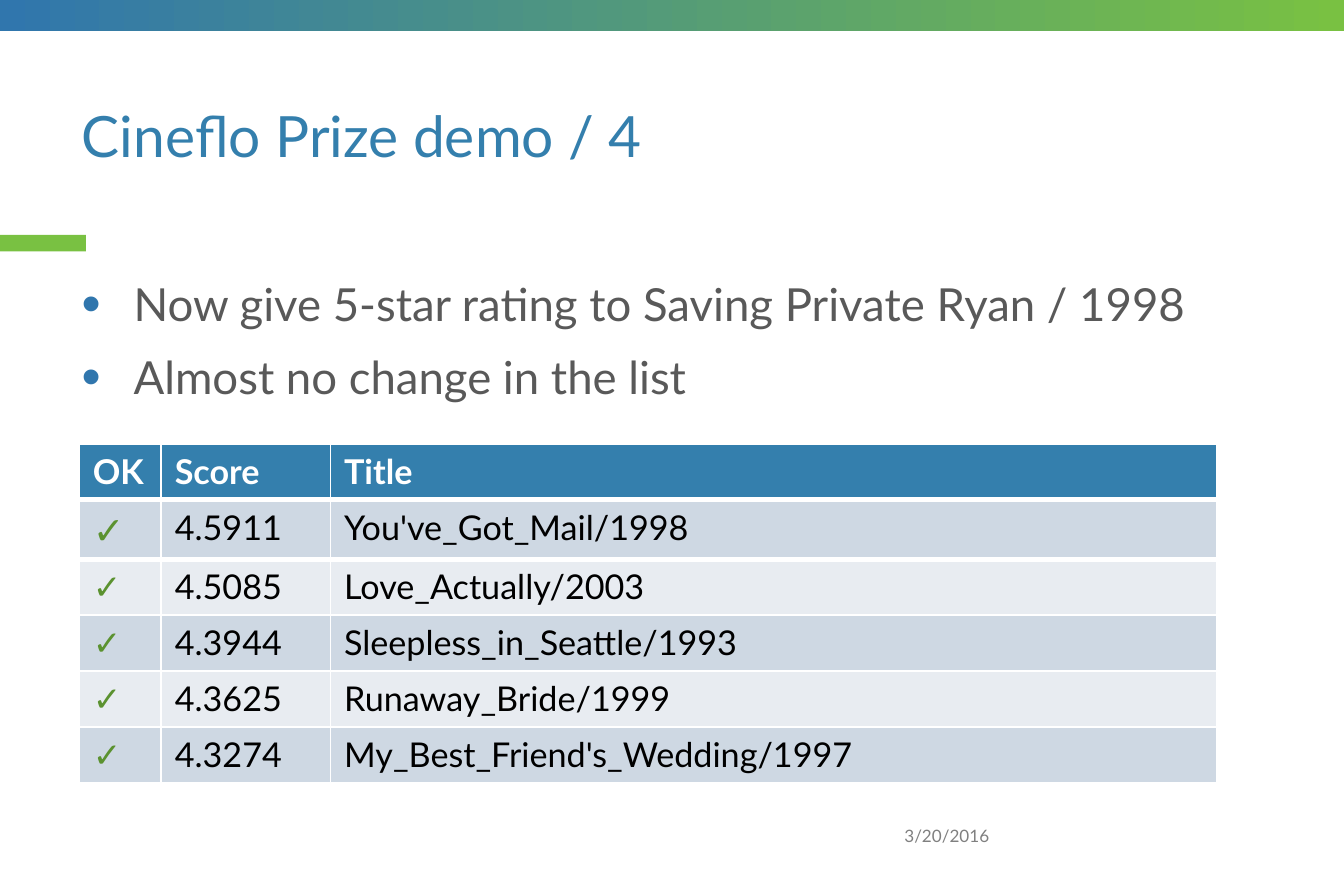
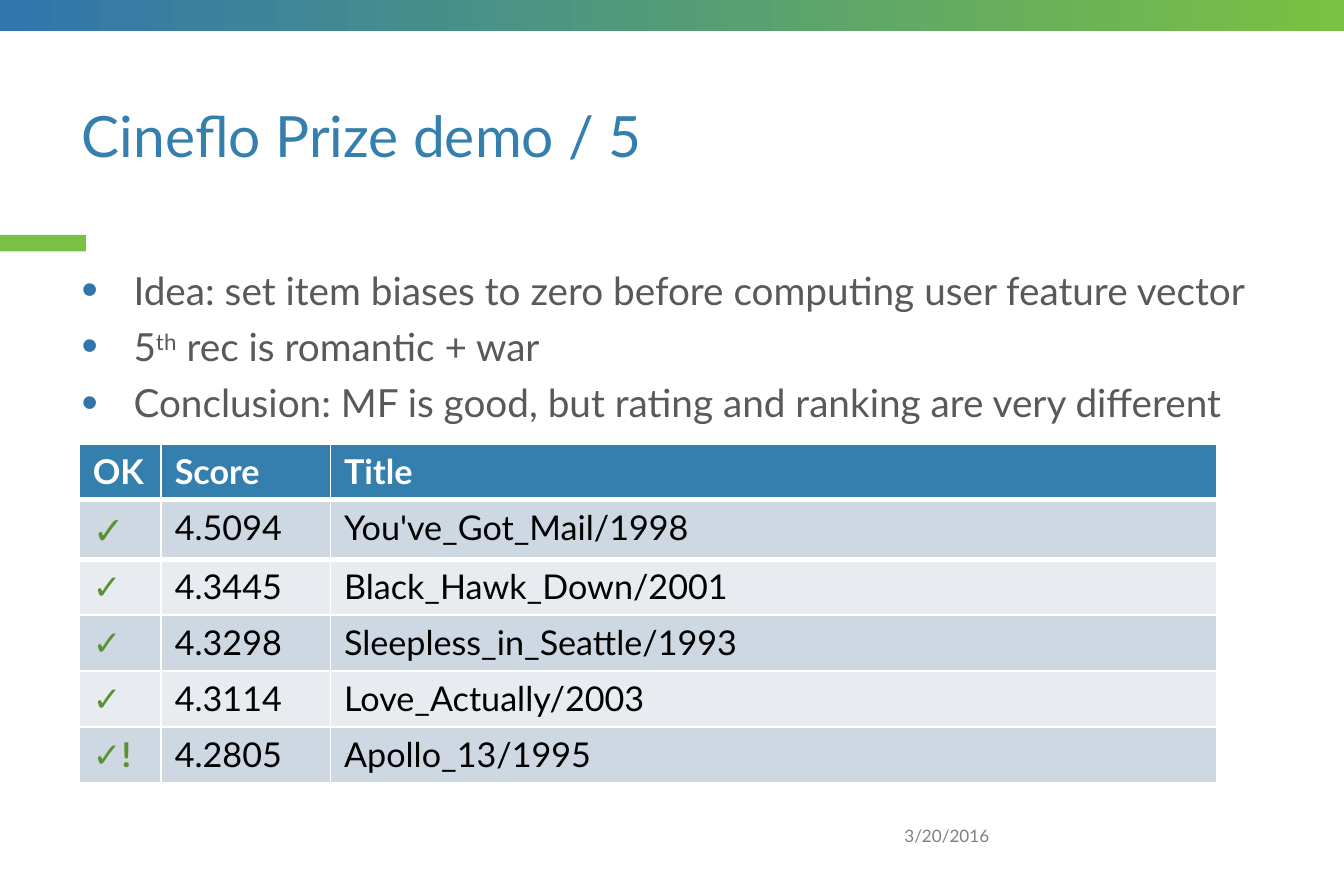
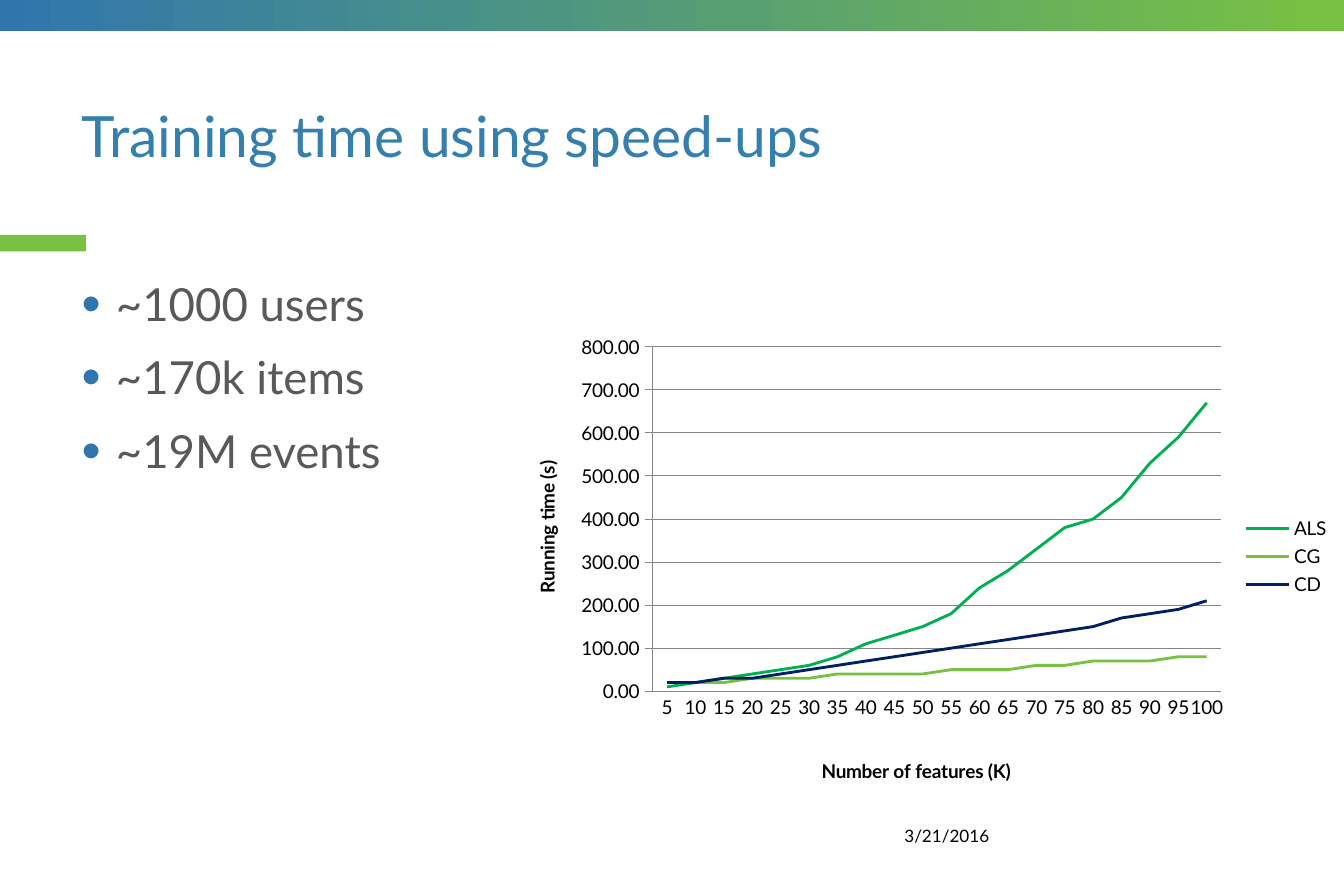
"""Build three slides on rating predictions and training time."""
from dataclasses import dataclass

from lxml.etree import SubElement
from pptx import Presentation
from pptx.chart.data import CategoryChartData
from pptx.dml.color import RGBColor
from pptx.enum.chart import XL_CHART_TYPE, XL_LEGEND_POSITION, XL_TICK_MARK
from pptx.enum.shapes import MSO_SHAPE
from pptx.enum.text import MSO_ANCHOR, MSO_AUTO_SIZE, PP_ALIGN
from pptx.oxml import parse_xml
from pptx.oxml.ns import nsdecls, qn
from pptx.util import Inches, Pt


@dataclass(frozen=True)
class Theme:
    font: str = "Lato"
    blue: str = "3076AD"
    green: str = "79C142"
    title: str = "347FAD"
    body: str = "595959"
    gray: str = "808080"
    black: str = "000000"
    white: str = "FFFFFF"
    check: str = "5B9230"
    bands: tuple = ("E8ECF1", "CED8E3")
    series: tuple = ("00B050", "79C142", "002060")
    grid: str = "868686"
    title_size: float = 30
    body_size: float = 24
    small_body_size: float = 20.4
    table_size: float = 18
    first_check_size: float = 20
    chart_size: float = 10
    date_size: float = 9


theme = Theme()


def color(value):
    return RGBColor.from_string(value)


def add_text(paragraph, text, *, size, fill, bold=False, baseline=0):
    run = paragraph.add_run()
    run.text = text
    run.font.name = theme.font
    run.font.size = Pt(size)
    run.font.bold = bold
    run.font.color.rgb = color(fill)
    if baseline:
        run._r.get_or_add_rPr().set("baseline", str(baseline * 1000))


contents = [
    {
        "title": "Cineflo Prize demo / 4",
        "date": "3/20/2016",
        "date_color": theme.gray,
        "bullets": [
            ["Now give 5-star rating to Saving Private Ryan / 1998"],
            ["Almost no change in the list"],
        ],
        "body_size": theme.body_size,
        "line_spacing": 1.0,
        "indent": 0.38,
        "body_extent": (8.84, 1.28),
        "rows": [
            ("✓", "4.5911", "You've_Got_Mail/1998"),
            ("✓", "4.5085", "Love_Actually/2003"),
            ("✓", "4.3944", "Sleepless_in_Seattle/1993"),
            ("✓", "4.3625", "Runaway_Bride/1999"),
            ("✓", "4.3274", "My_Best_Friend's_Wedding/1997"),
        ],
    },
    {
        "title": "Cineflo Prize demo / 5",
        "date": "3/20/2016",
        "date_color": theme.gray,
        "bullets": [
            ["Idea: set item biases to zero before computing user feature vector"],
            ["5", "th", " rec is romantic + war"],
            ["Conclusion: MF is good, but rating and ranking are very different"],
        ],
        "body_size": theme.small_body_size,
        "line_spacing": 0.8,
        "indent": 0.38,
        "body_extent": (8.84, 1.28),
        "rows": [
            ("✓", "4.5094", "You've_Got_Mail/1998"),
            ("✓", "4.3445", "Black_Hawk_Down/2001"),
            ("✓", "4.3298", "Sleepless_in_Seattle/1993"),
            ("✓", "4.3114", "Love_Actually/2003"),
            ("✓!", "4.2805", "Apollo_13/1995"),
        ],
    },
    {
        "title": "Training time using speed-ups",
        "date": "3/21/2016",
        "date_color": theme.black,
        "bullets": [["~1000 users"], ["~170k items"], ["~19M events"]],
        "body_size": theme.body_size,
        "line_spacing": 1.0,
        "indent": 0.25,
        "body_extent": (3.22, 3.75),
        "rows": [],
    },
]
table_header = ("OK", "Score", "Title")
column_widths = (0.6, 1.24, 6.49)
row_height = 0.41
running_times = {
    "ALS": (10, 20, 30, 40, 50, 60, 80, 110, 130, 150,
            180, 240, 280, 330, 380, 400, 450, 530, 590, 670),
    "CG": (20, 20, 20, 30, 30, 30, 40, 40, 40, 40,
           50, 50, 50, 60, 60, 70, 70, 70, 80, 80),
    "CD": (20, 20, 30, 30, 40, 50, 60, 70, 80, 90,
           100, 110, 120, 130, 140, 150, 170, 180, 190, 210),
}

presentation = Presentation()
presentation.slide_width = Inches(9.84)
presentation.slide_height = Inches(6.56)
layout = presentation.slide_layouts[5]
slides = [presentation.slides.add_slide(layout) for content in contents]

accent_bar = slides[0].shapes.add_shape(
    MSO_SHAPE.RECTANGLE, 0, Inches(1.72), Inches(0.63), Inches(0.12))
accent_bar.fill.solid()
accent_bar.fill.fore_color.rgb = color(theme.green)
top_band = slides[0].shapes.add_shape(
    MSO_SHAPE.RECTANGLE, 0, 0, Inches(9.84), Inches(0.23))
top_band.fill.gradient()
top_band.fill.gradient_angle = 0
for stop, stop_color in zip(top_band.fill.gradient_stops, (theme.blue, theme.green)):
    stop.color.rgb = color(stop_color)
for shape in (accent_bar, top_band):
    shape.line.fill.background()
    shape.shadow.inherit = False
    layout.shapes.element.append(shape.element)

for slide, content in zip(slides, contents):
    title = slide.shapes.title
    title.left, title.top = Inches(0.5), Inches(0.49)
    title.width, title.height = Inches(8.84), Inches(1.06)
    title.text_frame.auto_size = MSO_AUTO_SIZE.NONE
    title.text_frame.vertical_anchor = MSO_ANCHOR.MIDDLE
    paragraph = title.text_frame.paragraphs[0]
    paragraph.alignment = PP_ALIGN.LEFT
    paragraph.line_spacing = 0.9
    add_text(paragraph, content["title"], size=theme.title_size, fill=theme.title)

    date_box = slide.shapes.add_textbox(
        Inches(6.46), Inches(5.94), Inches(0.88), Inches(0.35))
    date_box.text_frame.word_wrap = True
    date_box.text_frame.vertical_anchor = MSO_ANCHOR.MIDDLE
    paragraph = date_box.text_frame.paragraphs[0]
    paragraph.alignment = PP_ALIGN.RIGHT
    add_text(paragraph, content["date"], size=theme.date_size, fill=content["date_color"])

    width, height = content["body_extent"]
    body = slide.shapes.add_textbox(
        Inches(0.5), Inches(1.97), Inches(width), Inches(height))
    body.text_frame.word_wrap = True
    for index, parts in enumerate(content["bullets"]):
        paragraph = body.text_frame.add_paragraph() if index else body.text_frame.paragraphs[0]
        properties = paragraph._p.get_or_add_pPr()
        properties.set("marL", str(Inches(content["indent"])))
        properties.set("indent", str(-Inches(content["indent"])))
        bullet_color = SubElement(properties, qn("a:buClr"))
        SubElement(bullet_color, qn("a:srgbClr"), val=theme.blue)
        SubElement(properties, qn("a:buSzPct"), val="120000")
        SubElement(properties, qn("a:buFont"), typeface="Arial")
        SubElement(properties, qn("a:buChar"), char="•")
        paragraph.line_spacing = content["line_spacing"]
        paragraph.space_before = Pt(10 if index else 0)
        for part in parts:
            add_text(paragraph, part, size=content["body_size"], fill=theme.body,
                     baseline=30 if part == "th" else 0)

    if content["rows"]:
        rows = [table_header, *content["rows"]]
        table = slide.shapes.add_table(
            len(rows), len(column_widths), Inches(0.58), Inches(3.25),
            Inches(sum(column_widths)), Inches(row_height * len(rows))).table
        for column, column_width in zip(table.columns, column_widths):
            column.width = Inches(column_width)
        for row_index, values in enumerate(rows):
            table.rows[row_index].height = Inches(row_height)
            for column_index, value in enumerate(values):
                is_header = row_index == 0
                is_check = column_index == 0 and not is_header
                cell = table.cell(row_index, column_index)
                cell.fill.solid()
                cell.fill.fore_color.rgb = color(
                    theme.title if is_header else theme.bands[row_index % 2])
                if row_index < 2:
                    side = "lnB" if is_header else "lnT"
                    cell._tc.get_or_add_tcPr().insert(0, parse_xml(
                        f'<a:{side} {nsdecls("a")} w="{Pt(3)}"><a:solidFill>'
                        f'<a:srgbClr val="{theme.white}"/></a:solidFill></a:{side}>'))
                add_text(
                    cell.text_frame.paragraphs[0], value,
                    size=theme.first_check_size if is_check and row_index == 1
                    else theme.table_size,
                    fill=theme.white if is_header else theme.check if is_check
                    else theme.black,
                    bold=is_header or is_check)

chart_width, chart_height = 6.13, 3.38
chart_data = CategoryChartData(number_format="0.00")
chart_data.categories = [str(count) for count in range(5, 101, 5)]
for name, values in running_times.items():
    chart_data.add_series(name, values)
chart = slides[2].shapes.add_chart(
    XL_CHART_TYPE.LINE, Inches(3.71), Inches(2.39),
    Inches(chart_width), Inches(chart_height), chart_data).chart
chart.font.name = theme.font
chart.font.size = Pt(theme.chart_size)
chart.font.color.rgb = color(theme.black)
chart.has_title = False
chart.has_legend = True
chart.legend.position = XL_LEGEND_POSITION.RIGHT
chart.legend.include_in_layout = False
chart.plots[0].vary_by_categories = False
for series, series_color in zip(chart.plots[0].series, theme.series):
    series.smooth = False
    series.format.line.width = Pt(1.5)
    series.format.line.color.rgb = color(series_color)

for axis, axis_title, tick_mark in (
    (chart.category_axis, "Number of features (K)", XL_TICK_MARK.NONE),
    (chart.value_axis, "Running time (s)", XL_TICK_MARK.OUTSIDE),
):
    axis.major_tick_mark = tick_mark
    axis.minor_tick_mark = XL_TICK_MARK.NONE
    axis.format.line.color.rgb = color(theme.grid)
    axis.format.line.width = Pt(0.5)
    add_text(axis.axis_title.text_frame.paragraphs[0], axis_title,
             size=theme.chart_size, fill=theme.black, bold=True)
value_axis = chart.value_axis
value_axis.minimum_scale, value_axis.maximum_scale = 0, 800
value_axis.major_unit = 100
value_axis.tick_labels.number_format = "0.00"
value_axis.tick_labels.number_format_is_linked = False
value_axis.has_major_gridlines = True
value_axis.major_gridlines.format.line.color.rgb = color(theme.grid)
value_axis.major_gridlines.format.line.width = Pt(0.5)

plot_area = chart.element.find(".//" + qn("c:plotArea"))
category_title = chart.category_axis.axis_title.element if hasattr(
    chart.category_axis.axis_title, "element") else chart.category_axis.axis_title._element
for part, settings in (
    (plot_area, {"layoutTarget": "inner", "xMode": "edge", "yMode": "edge",
                 "x": 1.07 / chart_width, "y": 0.15 / chart_height,
                 "w": 4.16 / chart_width, "h": 2.53 / chart_height}),
    (category_title, {"xMode": "edge", "yMode": "edge",
                      "x": 2.28 / chart_width, "y": 3.14 / chart_height}),
):
    part_layout = part.find(qn("c:layout"))
    if part_layout is None:
        part_layout = parse_xml(f'<c:layout {nsdecls("c")}/>')
        part.insert(1 if part is category_title else 0, part_layout)
    manual_layout = SubElement(part_layout, qn("c:manualLayout"))
    for name, value in settings.items():
        SubElement(manual_layout, qn(f"c:{name}"), val=str(value))

presentation.save("out.pptx")
